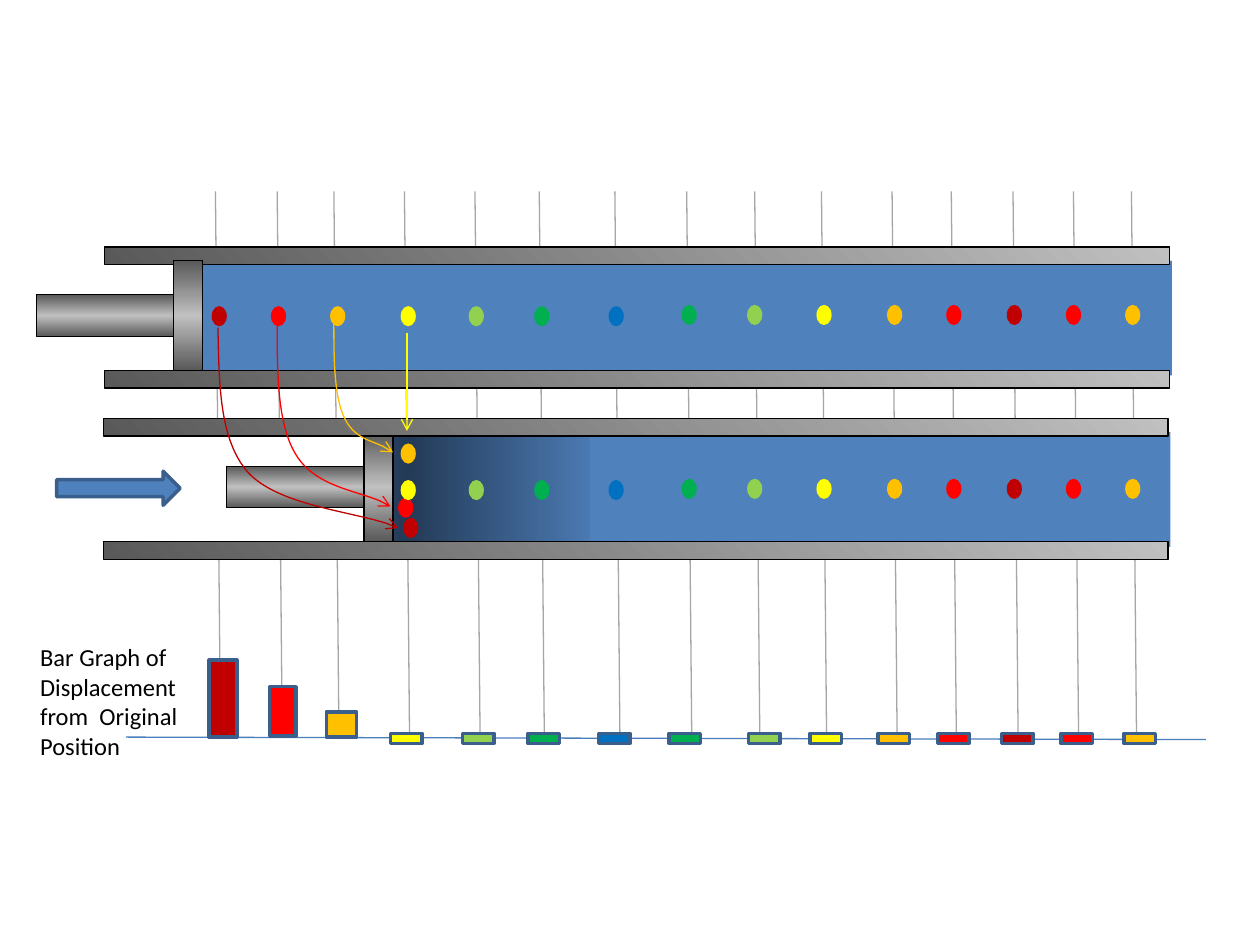
from lxml import etree
from pptx import Presentation
from pptx.dml.color import RGBColor
from pptx.enum import shapes, text
from pptx.oxml import parse_xml
from pptx.oxml.ns import nsdecls, qn
from pptx.util import Inches, Pt

DARK_RED, RED, ORANGE, YELLOW = "C00000", "FF0000", "FFC000", "FFFF00"
LIME, GREEN, BLUE = "92D050", "00B050", "0070C0"
WATER, OUTLINE = "4F81BD", "3A5F8C"
PARTICLE_COLORS = [DARK_RED, RED, ORANGE, YELLOW, LIME, GREEN, BLUE, GREEN,
                   LIME, YELLOW, ORANGE, RED, DARK_RED, RED, ORANGE]
PARTICLE_LEFTS = [1.68, 2.15, 2.62, 3.18, 3.72, 4.24, 4.83, 5.41,
                  5.93, 6.48, 7.04, 7.51, 7.99, 8.46, 8.93]
GUIDE_LEFTS = [1.71, 2.2, 2.65, 3.21, 3.77, 4.28, 4.88, 5.45,
               5.99, 6.52, 7.08, 7.55, 8.04, 8.52, 8.98]
TALL_BARS = [(1.66, 5.24, 0.22, 0.61), (2.14, 5.45, 0.21, 0.39), (2.59, 5.65, 0.24, 0.2)]
FLAT_BAR_LEFTS = [3.1, 3.67, 4.19, 4.75, 5.31, 5.94, 6.43, 6.97, 7.44, 7.95, 8.42, 8.92]
WALL_STOPS = ["595959", "C0C0C0"]
METAL_STOPS = ["595959", "C0C0C0", "595959"]
PRESSURE_STOPS = [WATER, "243B57", WATER]
DISPLACEMENTS = [
    (DARK_RED, [(1.73, 2.6), (1.74, 3.05), (1.74, 3.49), (1.97, 3.75),
                (2.21, 4.01), (2.91, 4.07), (3.16, 4.19)]),
    (RED, [(2.2, 2.55), (2.2, 2.96), (2.2, 3.37), (2.35, 3.61),
           (2.5, 3.86), (2.94, 3.91), (3.1, 4.02)]),
    (ORANGE, [(2.65, 2.55), (2.65, 2.84), (2.65, 3.13), (2.73, 3.31),
              (2.81, 3.48), (3.04, 3.52), (3.12, 3.59)]),
]


def rgb(color):
    """Return the colour for a hex string."""
    return RGBColor.from_string(color)


def set_line(shape, color, width):
    """Give a shape or connector a solid line."""
    shape.line.color.rgb = rgb(color)
    shape.line.width = Pt(width)


def add_arrowhead(shape):
    """Put an open arrowhead at the end of a line."""
    line = shape.line._get_or_add_ln()
    etree.SubElement(line, qn("a:tailEnd"), type="arrow")


def add_box(slide, bounds, color, line=None, width=0.75, kind=shapes.MSO_SHAPE.RECTANGLE):
    """Add a preset shape with a plain fill."""
    shape = slide.shapes.add_shape(kind, *map(Inches, bounds))
    shape.shadow.inherit = False
    shape.fill.solid()
    shape.fill.fore_color.rgb = rgb(color)
    if line:
        set_line(shape, line, width)
    else:
        shape.line.fill.background()
    return shape


def add_gradient_box(slide, bounds, colors, angle, line="000000"):
    """Add a rectangle with evenly spaced gradient stops."""
    shape = add_box(slide, bounds, colors[0], line)
    stops = "".join(
        f'<a:gs pos="{100000 * i // (len(colors) - 1)}"><a:srgbClr val="{color}"/></a:gs>'
        for i, color in enumerate(colors))
    gradient = parse_xml(
        f'<a:gradFill {nsdecls("a")} rotWithShape="1"><a:gsLst>{stops}</a:gsLst>'
        f'<a:lin ang="{angle * 60000}" scaled="0"/></a:gradFill>')
    properties = shape._element.spPr
    properties.replace(properties.find(qn("a:solidFill")), gradient)


def add_line(slide, start, end, color):
    """Add a thin straight connector."""
    connector = slide.shapes.add_connector(
        shapes.MSO_CONNECTOR.STRAIGHT, *map(Inches, (*start, *end)))
    set_line(connector, color, 0.75)
    etree.SubElement(connector._element.spPr, qn("a:effectLst"))
    return connector


def add_curved_arrow(slide, points, color):
    """Add an open Bezier curve, three points a segment, with an arrowhead."""
    start, *others = [(Inches(x), Inches(y)) for x, y in points]
    builder = slide.shapes.build_freeform(*start)
    builder.add_line_segments(others, close=False)
    shape = builder.convert_to_shape()
    segments = list(shape._element.spPr.iter(qn("a:lnTo")))
    for i in range(0, len(segments), 3):
        curve = etree.Element(qn("a:cubicBezTo"))
        segments[i].addprevious(curve)
        for segment in segments[i:i + 3]:
            curve.append(segment[0])
            segment.getparent().remove(segment)
    shape.shadow.inherit = False
    shape.fill.background()
    set_line(shape, color, 0.75)
    add_arrowhead(shape)


def add_wall(slide, left, top):
    """Add one wall of a tube."""
    add_gradient_box(slide, (left, top, 8.45, 0.14), WALL_STOPS, 315)


def add_piston(slide, left, top):
    """Add a piston rod and its head."""
    add_gradient_box(slide, (left, top + 0.27, 1.09, 0.33), METAL_STOPS, 90)
    add_gradient_box(slide, (left + 1.09, top, 0.23, 0.87), METAL_STOPS, 90)


def add_particle(slide, left, top, color):
    """Add one particle."""
    add_box(slide, (left, top, 0.12, 0.16), color, kind=shapes.MSO_SHAPE.OVAL)


def add_particle_row(slide, top, first=0):
    """Add the particles at rest, the right half slightly higher."""
    row = list(zip(PARTICLE_LEFTS, PARTICLE_COLORS))
    for i, (left, color) in enumerate(row[first:], first):
        add_particle(slide, left, top if i < 7 else top - 0.01, color)


def add_rest_tube(slide):
    """Add the tube before the piston moves."""
    add_box(slide, (1.55, 2.07, 7.75, 0.91), WATER)
    for top in (1.96, 2.94):
        add_wall(slide, 0.83, top)
    add_piston(slide, 0.29, 2.07)
    add_particle_row(slide, 2.43)


def add_compressed_tube(slide):
    """Add the tube after the piston moves."""
    add_gradient_box(slide, (1.6, 3.43, 3.27, 0.91), PRESSURE_STOPS, 0, None)
    add_box(slide, (4.68, 3.43, 4.61, 0.91), WATER)
    add_box(slide, (1.21, 3.44, 1.7, 0.89), "FFFFFF")
    add_piston(slide, 1.8, 3.43)
    for top in (3.32, 4.3):
        add_wall(slide, 0.82, top)
    for left, top, color in ((3.2, 4.11, DARK_RED), (3.16, 3.95, RED), (3.18, 3.52, ORANGE)):
        add_particle(slide, left, top, color)
    add_particle_row(slide, 3.81, first=3)


def add_bar_graph(slide):
    """Add the baseline and the displacement bars."""
    add_line(slide, (1, 5.85), (9.57, 5.87), "4B7EBC")
    flat_bars = [(left, 5.82, 0.25, 0.08) for left in FLAT_BAR_LEFTS]
    for bounds, color in zip(TALL_BARS + flat_bars, PARTICLE_COLORS):
        add_box(slide, bounds, color, OUTLINE, 2)


def add_label(slide, bounds, words):
    """Add a wrapped text label."""
    box = slide.shapes.add_textbox(*map(Inches, bounds))
    frame = box.text_frame
    frame.word_wrap = True
    frame.auto_size = text.MSO_AUTO_SIZE.SHAPE_TO_FIT_TEXT
    run = frame.paragraphs[0].add_run()
    run.text = words
    run.font.name = "Calibri"
    run.font.size = Pt(14)
    run.font.color.rgb = rgb("000000")


def main():
    """Build the piston slide and save it."""
    presentation = Presentation()
    presentation.slide_width, presentation.slide_height = Inches(10), Inches(7.5)
    slide = presentation.slides.add_slide(presentation.slide_layouts[6])
    for left in GUIDE_LEFTS:
        add_line(slide, (left, 1.52), (left + 0.04, 5.81), "A6A6A6")
    add_rest_tube(slide)
    add_compressed_tube(slide)
    add_bar_graph(slide)
    for color, points in DISPLACEMENTS:
        add_curved_arrow(slide, points, color)
    add_arrowhead(add_line(slide, (3.23, 2.64), (3.23, 3.42), YELLOW))
    add_label(slide, (0.22, 5.05, 1.32, 1.04),
              "Bar Graph of Displacement from  Original Position")
    add_box(slide, (0.45, 3.74, 0.98, 0.27), WATER, OUTLINE, 2, shapes.MSO_SHAPE.RIGHT_ARROW)
    presentation.save("out.pptx")


if __name__ == "__main__":
    main()
